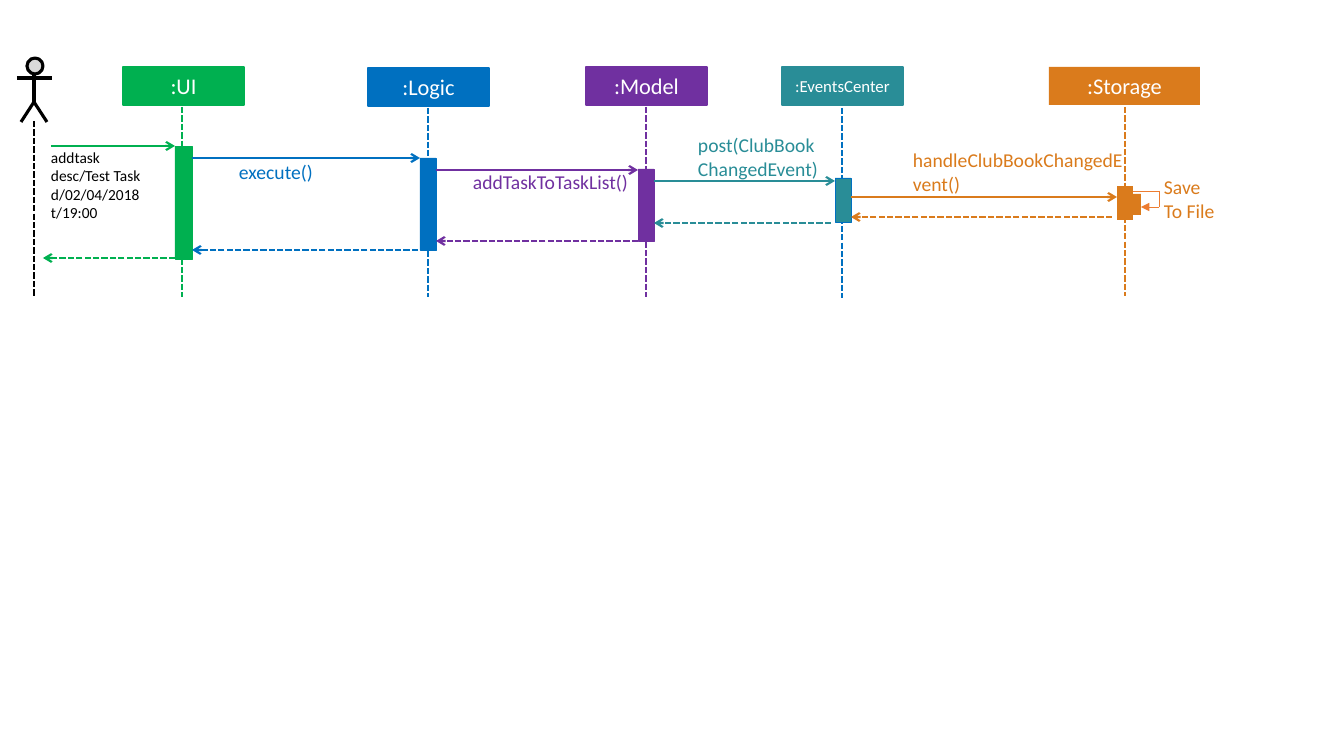
from lxml import etree
from pptx import Presentation
from pptx.dml.color import RGBColor
from pptx.enum.dml import MSO_LINE
from pptx.enum.shapes import MSO_CONNECTOR, MSO_SHAPE
from pptx.enum.text import MSO_ANCHOR, MSO_AUTO_SIZE, PP_ALIGN
from pptx.oxml.ns import qn
from pptx.util import Emu, Pt

RECT = MSO_SHAPE.RECTANGLE
ROUND = MSO_SHAPE.FLOWCHART_CONNECTOR
STRAIGHT = MSO_CONNECTOR.STRAIGHT
DASH = MSO_LINE.SQUARE_DOT
MIDDLE, TOP = MSO_ANCHOR.MIDDLE, MSO_ANCHOR.TOP
LEFT, CENTER = PP_ALIGN.LEFT, PP_ALIGN.CENTER
GROW = MSO_AUTO_SIZE.SHAPE_TO_FIT_TEXT

SCALE = 914400 / 100.8
FONT = "Calibri"
GREEN, BLUE, PURPLE = "00B050", "0070C0", "7030A0"
TEAL, ORANGE, LOOP = "298D97", "DA7B1C", "ED7D31"
BLACK, WHITE, GREY = "000000", "FFFFFF", "D9D9D9"

# label, size, fill, edge, lifeline colour, box (x, y, w, h),
# lifeline (x, top, end), bar (x, y, w, h)
LANES = [
    (":UI", 16, GREEN, GREEN, GREEN, (123, 67, 121, 38), (182, 107, 297), (175, 146, 17, 113)),
    (":Logic", 16, BLUE, BLUE, BLUE, (368, 68, 121, 38), (428, 108, 297), (420, 158, 16, 92)),
    (":Model", 16, PURPLE, PURPLE, PURPLE, (586, 67, 121, 38), (646, 107, 297), (638, 169, 16, 72)),
    (":EventsCenter", 12, TEAL, BLUE, BLUE, (782, 67, 121, 38), (842, 108, 298), (835, 178, 16, 44)),
    (":Storage", 16, ORANGE, None, ORANGE, (1049, 67, 151, 38), (1125, 107, 296), (1117, 186, 16, 34)),
]
# colour, call (x1, x2, y), reply (x1, x2, y)
CALLS = [
    (GREEN, (51, 175, 146), (175, 43, 258)),
    (BLUE, (192, 420, 158), (418, 192, 250)),
    (PURPLE, (436, 638, 170), (638, 436, 241)),
    (TEAL, (654, 835, 181), (831, 654, 223)),
    (ORANGE, (851, 1117, 197), (1112, 851, 217)),
]
# lines, size, colour, align, box (x, y, w, h)
NOTES = [
    (["addtask desc/Test Task d/02/04/2018 t/19:00"], 11, BLACK, LEFT, (51, 148, 95, 75)),
    (["execute()"], 14, BLUE, LEFT, (239, 160, 157, 24)),
    (["addTaskToTaskList()"], 14, PURPLE, CENTER, (472, 170, 157, 24)),
    (["post(ClubBook", "ChangedEvent)"], 14, TEAL, LEFT, (698, 133, 134, 47)),
    (["handleClubBookChangedEvent()"], 14, ORANGE, LEFT, (913, 148, 210, 47)),
    (["Save", "To File"], 14, ORANGE, LEFT, (1164, 175, 60, 47)),
]
SAVE = (1132, 194, 9, 21)
TURN = [(1133, 191), (1159, 191), (1159, 207), (1141, 207)]
HEAD = (27, 58, 16, 16)
BODY = [(34, 74, 34, 102), (17, 78, 52, 78)]
LEGS = [(21, 122), (34, 102), (47, 122)]


def px(n):
    return Emu(round(n * SCALE))


def rgb(code):
    return RGBColor.from_string(code)


def stroke(line, color, width):
    if color is None:
        line.fill.background()
        return
    line.color.rgb = rgb(color)
    line.width = Pt(width)


def block(home, kind, box, fill, edge=None, width=1.5):
    shape = home.add_shape(kind, *map(px, box))
    shape.shadow.inherit = False
    shape.fill.solid()
    shape.fill.fore_color.rgb = rgb(fill)
    stroke(shape.line, edge, width)
    return shape


def link(home, ends, color, width=1.5, dash=False, tip=None):
    line = home.add_connector(STRAIGHT, *map(px, ends))
    stroke(line.line, color, width)
    if dash:
        line.line.dash_style = DASH
    props = line._element.spPr
    if tip:
        etree.SubElement(props.find(qn("a:ln")), qn("a:tailEnd"), type=tip)
    etree.SubElement(props, qn("a:effectLst"))


def write(shape, lines, size, color, align, anchor):
    frame = shape.text_frame
    frame.word_wrap = True
    frame.vertical_anchor = anchor
    frame.margin_left = frame.margin_right = 0
    frame.margin_top = frame.margin_bottom = 0
    for i, text in enumerate(lines):
        para = frame.add_paragraph() if i else frame.paragraphs[0]
        para.alignment = align
        run = para.add_run()
        run.text = text
        run.font.name = FONT
        run.font.size = Pt(size)
        run.font.color.rgb = rgb(color)


deck = Presentation()
deck.slide_width, deck.slide_height = px(1344), px(756)
slide = deck.slides.add_slide(deck.slide_layouts[6])
page = slide.shapes

# Actor and its lifeline
actor = page.add_group_shape().shapes
block(actor, ROUND, HEAD, GREY, BLACK, 2.25)
for limb in BODY:
    link(actor, limb, BLACK, 2.25)
pen = actor.build_freeform(*LEGS[0], scale=SCALE)
pen.add_line_segments(LEGS[1:], close=False)
legs = pen.convert_to_shape()
legs.shadow.inherit = False
legs.fill.background()
stroke(legs.line, BLACK, 2.25)
link(page, (34, 121, 34, 297), BLACK, dash=True)

# Lanes
for label, size, fill, edge, tint, box, (x, top, end), bar in LANES:
    head = block(page, RECT, box, fill, fill if edge else None)
    write(head, [label], size, WHITE, CENTER, MIDDLE)
    link(page, (x, top, x, end), tint, dash=True)
    block(page, RECT, bar, fill, edge, 0.5)

# Calls and replies
for color, call, reply in CALLS:
    for (x1, x2, y), dash in ((call, False), (reply, True)):
        link(page, (x1, y, x2, y), color, dash=dash, tip="arrow")

# Self call of the storage
block(page, RECT, SAVE, ORANGE)
loop = page.add_group_shape().shapes
for start, end in zip(TURN, TURN[1:]):
    link(loop, start + end, LOOP, 0.5, tip="triangle" if end == TURN[-1] else None)

# Message texts
for lines, size, color, align, box in NOTES:
    note = page.add_textbox(*map(px, box))
    write(note, lines, size, color, align, TOP)
    note.text_frame.auto_size = GROW

deck.save("out.pptx")
